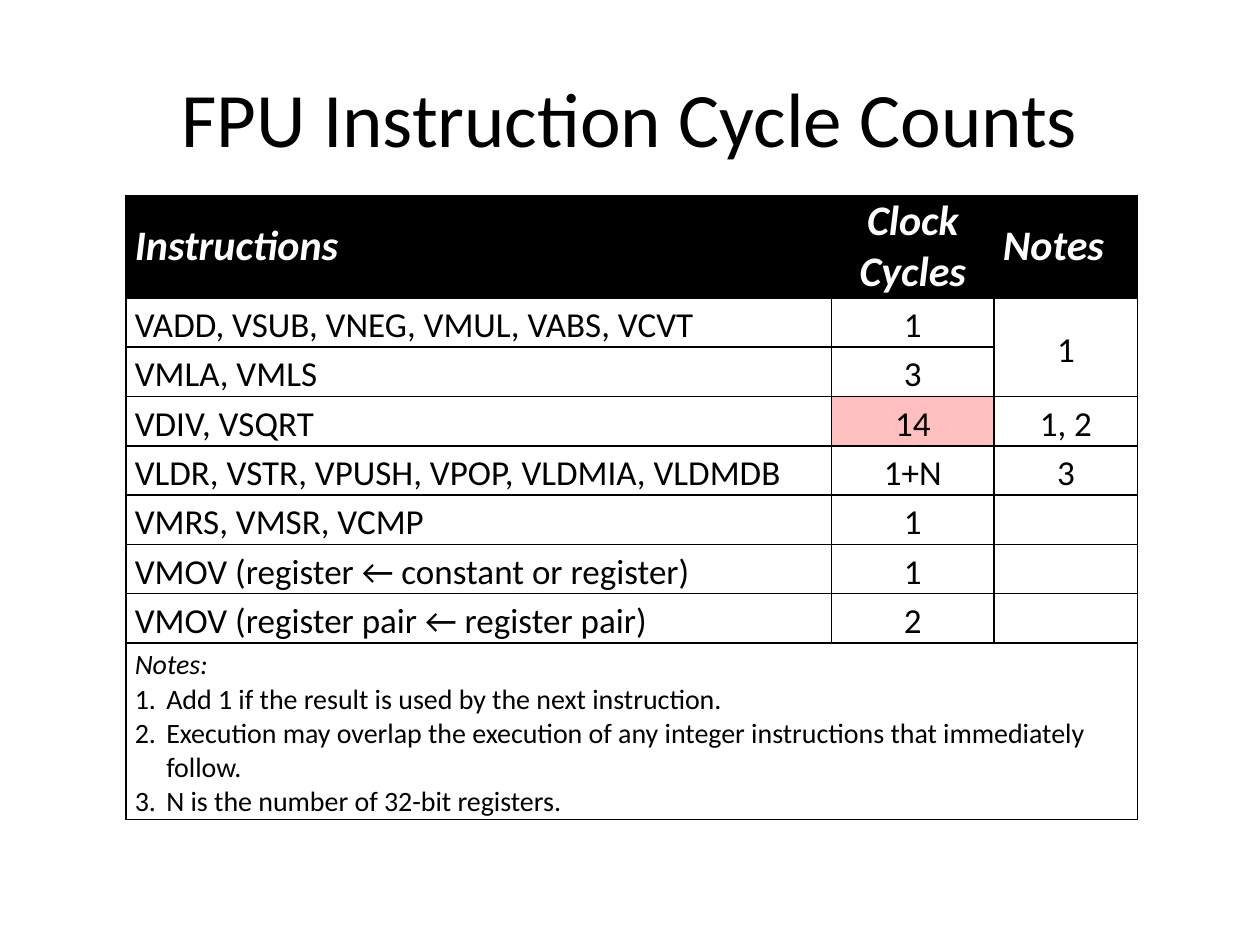
"""Build the slide with the FPU instruction cycle count table."""
from lxml.etree import SubElement
from pptx import Presentation
from pptx.dml.color import RGBColor
from pptx.enum.text import MSO_ANCHOR as Anchor, PP_ALIGN as Align
from pptx.oxml import parse_xml
from pptx.oxml.ns import nsdecls, qn
from pptx.util import Inches, Pt

BLACK = RGBColor(0, 0, 0)
WHITE = RGBColor(255, 255, 255)
RED = RGBColor(255, 0, 0)
FONT = "Calibri"

TITLE = "FPU Instruction Cycle Counts"
HEADER = ("Instructions", "Clock Cycles", "Notes")
INSTRUCTIONS = [
    ("VADD, VSUB, VNEG, VMUL, VABS, VCVT", "1", "1"),
    ("VMLA, VMLS", "3", ""),
    ("VDIV, VSQRT", "14", "1, 2"),
    ("VLDR, VSTR, VPUSH, VPOP, VLDMIA, VLDMDB", "1+N", "3"),
    ("VMRS, VMSR, VCMP", "1", ""),
    ("VMOV (register ← constant or register)", "1", ""),
    ("VMOV (register pair ← register pair)", "2", ""),
]
NOTES_HEADING = "Notes:"
NOTES = [
    "Add 1 if the result is used by the next instruction.",
    "Execution may overlap the execution of any integer instructions that immediately follow.",
    "N is the number of 32-bit registers.",
]
HIGHLIGHT = (3, 1)
COLUMN_WIDTHS = (5.6, 1.29, 1.14)
ROW_HEIGHTS = [0.71] + [0.35] * len(INSTRUCTIONS) + [1.38]
HEADER_ALIGN = (Align.LEFT, Align.CENTER, Align.LEFT)
BODY_ALIGN = (Align.LEFT, Align.CENTER, Align.CENTER)


def add_text(paragraph, text, size, color=BLACK, bold=False, italic=False):
    run = paragraph.add_run()
    run.text = text
    font = run.font
    font.name, font.size, font.bold, font.italic = FONT, Pt(size), bold, italic
    font.color.rgb = color


def format_cell(cell):
    cell.margin_left = cell.margin_right = Inches(0.07)
    cell.margin_top = cell.margin_bottom = 0
    cell.vertical_anchor = Anchor.MIDDLE
    cell.fill.background()
    properties = cell._tc.get_or_add_tcPr()
    for index, side in enumerate("LRTB"):
        properties.insert(index, parse_xml(
            f'<a:ln{side} {nsdecls("a")} w="{Pt(1)}"><a:solidFill>'
            f'<a:srgbClr val="{BLACK}"/></a:solidFill></a:ln{side}>'))


def fill_cell(cell, color, opacity=100):
    cell.fill.solid()
    cell.fill.fore_color.rgb = color
    if opacity < 100:
        color_element = cell._tc.tcPr.find(qn("a:solidFill")).find(qn("a:srgbClr"))
        SubElement(color_element, qn("a:alpha"), val=str(opacity * 1000))


def number_paragraph(paragraph):
    properties = paragraph._p.get_or_add_pPr()
    properties.set("marL", str(Inches(0.25)))
    properties.set("indent", str(Inches(-0.25)))
    SubElement(properties, qn("a:buFont"), typeface="+mj-lt")
    SubElement(properties, qn("a:buAutoNum"), type="arabicPeriod")


def add_cycle_table(slide):
    table = slide.shapes.add_table(
        len(ROW_HEIGHTS), len(COLUMN_WIDTHS), Inches(1), Inches(1.55),
        Inches(sum(COLUMN_WIDTHS)), Inches(sum(ROW_HEIGHTS))).table
    table.first_row = table.horz_banding = False
    for column, width in zip(table.columns, COLUMN_WIDTHS):
        column.width = Inches(width)
    for row, height in zip(table.rows, ROW_HEIGHTS):
        row.height = Inches(height)
    for cell in table.iter_cells():
        format_cell(cell)

    for column, (text, align) in enumerate(zip(HEADER, HEADER_ALIGN)):
        cell = table.cell(0, column)
        fill_cell(cell, BLACK)
        paragraph = cell.text_frame.paragraphs[0]
        paragraph.alignment = align
        add_text(paragraph, text, 24, WHITE, bold=True, italic=True)

    for row, values in enumerate(INSTRUCTIONS, 1):
        for column, (text, align) in enumerate(zip(values, BODY_ALIGN)):
            if text:
                paragraph = table.cell(row, column).text_frame.paragraphs[0]
                paragraph.alignment = align
                paragraph.line_spacing = 1.15
                add_text(paragraph, text, 20)
    fill_cell(table.cell(*HIGHLIGHT), RED, 25)
    table.cell(1, 2).merge(table.cell(2, 2))

    last = len(ROW_HEIGHTS) - 1
    notes_cell = table.cell(last, 0)
    notes_cell.merge(table.cell(last, len(COLUMN_WIDTHS) - 1))
    frame = notes_cell.text_frame
    heading = frame.paragraphs[0]
    heading.line_spacing = 1.15
    add_text(heading, NOTES_HEADING, 16, italic=True)
    for note in NOTES:
        paragraph = frame.add_paragraph()
        number_paragraph(paragraph)
        add_text(paragraph, note, 16)


def main():
    presentation = Presentation()
    presentation.slide_width, presentation.slide_height = Inches(10), Inches(7.5)
    slide = presentation.slides.add_slide(presentation.slide_layouts[5])
    title = slide.shapes.title
    title.left, title.top = Inches(0.5), Inches(0.3)
    title.width, title.height = Inches(9), Inches(1.25)
    title.text_frame.vertical_anchor = Anchor.MIDDLE
    paragraph = title.text_frame.paragraphs[0]
    paragraph.alignment = Align.CENTER
    add_text(paragraph, TITLE, 44)
    add_cycle_table(slide)
    presentation.save("out.pptx")


if __name__ == "__main__":
    main()
